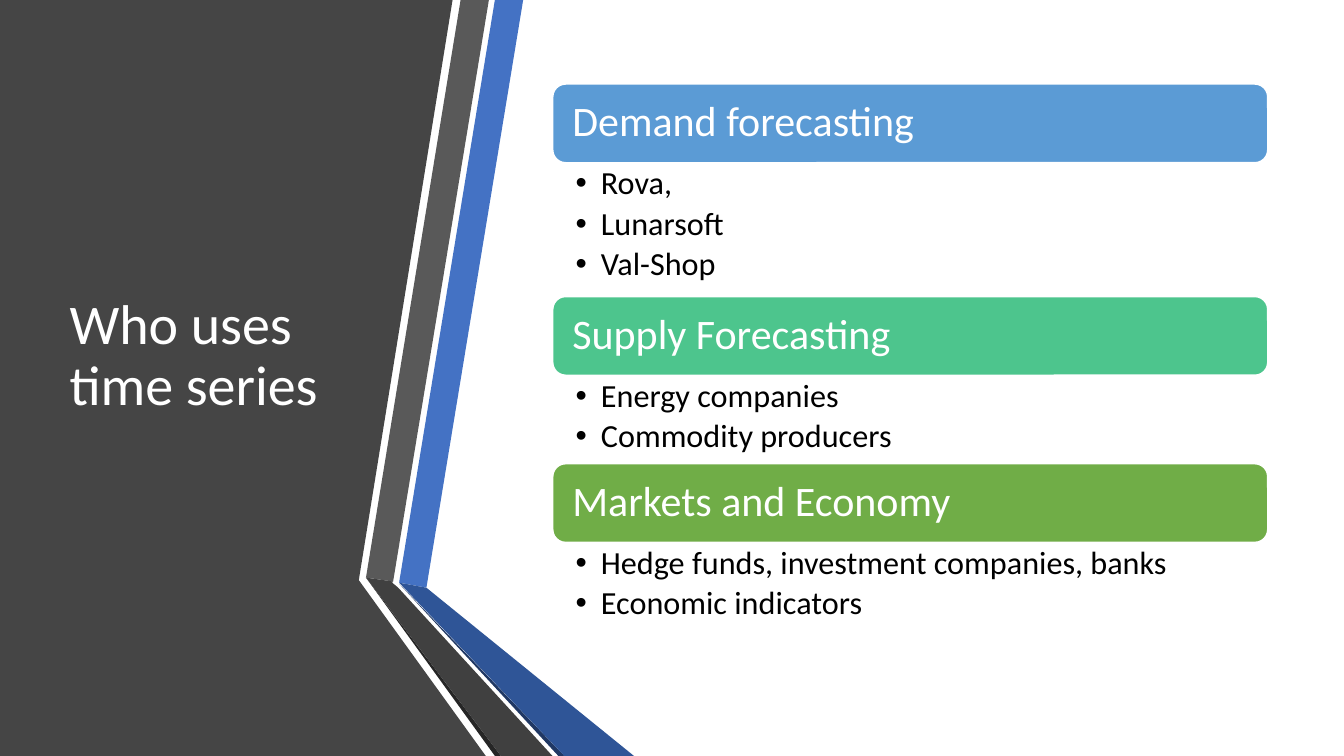
from lxml.etree import SubElement
from pptx import Presentation
from pptx.dml.color import RGBColor
from pptx.enum.shapes import MSO_SHAPE as Preset
from pptx.enum.text import MSO_ANCHOR as Anchor, MSO_AUTO_SIZE as AutoSize, PP_ALIGN as Align
from pptx.oxml.ns import qn
from pptx.util import Pt


def color(hex_text):
    return RGBColor.from_string(hex_text)


def assign(target, values):
    for name, value in values.items():
        setattr(target, name, value)


class SlideBuilder:
    """Holds the text style and the current slide, and adds its elements."""

    font_name = "Calibri"

    def __init__(self, slide):
        self.slide = slide

    def place(self, shape, left, top, width, height):
        assign(shape, {"left": Pt(left), "top": Pt(top), "width": Pt(width), "height": Pt(height)})

    def paint(self, shape, fill, line=None):
        shape.shadow.inherit = False
        shape.fill.solid()
        shape.fill.fore_color.rgb = color(fill)
        if line:
            shape.line.color.rgb = color(line)
            shape.line.width = Pt(1.5)
        else:
            shape.line.fill.background()

    def set_text(self, shape, lines, size, ink, anchor, margins, space_after=0):
        frame = shape.text_frame
        left, top, right, bottom = map(Pt, margins)
        assign(frame, {
            "text": "\n".join(lines), "word_wrap": True, "auto_size": AutoSize.NONE,
            "vertical_anchor": anchor, "margin_left": left, "margin_top": top,
            "margin_right": right, "margin_bottom": bottom,
        })
        for para in frame.paragraphs:
            assign(para, {"alignment": Align.LEFT, "line_spacing": 0.9,
                          "space_before": Pt(0), "space_after": Pt(space_after)})
            for span in para.runs:
                assign(span.font, {"name": self.font_name, "size": Pt(size), "bold": False})
                span.font.color.rgb = color(ink)

    def polygon(self, fill, points):
        start, *rest = [(Pt(x), Pt(y)) for x, y in points]
        outline = self.slide.shapes.build_freeform(*start)
        outline.add_line_segments(rest, close=True)
        self.paint(outline.convert_to_shape(), fill)

    def title(self, text, *area):
        title = self.slide.shapes.title
        self.place(title, *area)
        self.set_text(title, [text], 40, "FFFFFF", Anchor.MIDDLE, (7.2, 3.6, 7.2, 3.6))
        title.element.getparent().append(title.element)

    def bar(self, text, fill, *area):
        bar = self.slide.shapes.add_shape(Preset.ROUNDED_RECTANGLE, *map(Pt, area))
        self.paint(bar, fill, "FFFFFF")
        self.set_text(bar, [text], 30, "FFFFFF", Anchor.MIDDLE, (11.5, 8.6, 11.5, 8.6))

    def bullets(self, box, items, *area):
        self.place(box, *area)
        self.set_text(box, items, 23, "000000", Anchor.TOP, (16.6, 2.9, 16.6, 2.9), 4)
        for para in box.text_frame.paragraphs:
            properties = para._p.get_or_add_pPr()
            properties.set("marL", str(Pt(18)))
            properties.set("indent", str(Pt(-18)))
            SubElement(properties, qn("a:buFont"), typeface="Arial")
            SubElement(properties, qn("a:buChar"), char="•")


RIBBONS = [
    ("454545", [(0, 0), (323.3, 0), (256.3, 414.4), (347, 540), (0, 540)]),
    ("4472C4", [(285.1, 416.2), (304.6, 419.8), (373.7, 0), (353.5, 0)]),
    ("595959", [(349.2, 0), (329, 0), (261.4, 412.6), (280.8, 415.4)]),
    ("262626", [(261.4, 412.6), (353.5, 540), (357.8, 540)]),
    ("203864", [(285.1, 416.9), (398.9, 540), (403.2, 540)]),
    ("2F5597", [(285.1, 416.2), (403.2, 540), (452.9, 540), (304.6, 419.8)]),
    ("404040", [(394.6, 540), (284.4, 419.8), (280.1, 416.2), (280.8, 415.4),
                (261.4, 412.6), (357.8, 540)]),
]
SECTIONS = [
    ("Demand forecasting", "5B9BD5", ["Rova,", "Lunarsoft", "Val-Shop"]),
    ("Supply Forecasting", "4DC58D", ["Energy companies", "Commodity producers"]),
    ("Markets and Economy", "70AD47",
     ["Hedge funds, investment companies, banks", "Economic indicators"]),
]
LEFT, WIDTH, BAR_HEIGHT = 394.6, 511.2, 56.7

deck = Presentation()
assign(deck, {"slide_width": Pt(960), "slide_height": Pt(540)})
slide = deck.slides.add_slide(deck.slide_layouts.get_by_name("Comparison"))
builder = SlideBuilder(slide)

for fill, points in RIBBONS:
    builder.polygon(fill, points)
builder.title("Who uses time series", 42.5, 54, 218.9, 401.8)

title_box, *list_boxes, spare_box = slide.placeholders
spare_box.element.getparent().remove(spare_box.element)
top = 59.8
for (heading, fill, items), list_box in zip(SECTIONS, list_boxes):
    list_height = 32.4 * len(items) - 2.1
    builder.bar(heading, fill, LEFT, top, WIDTH, BAR_HEIGHT)
    builder.bullets(list_box, items, LEFT, top + BAR_HEIGHT, WIDTH, list_height)
    top += BAR_HEIGHT + list_height

deck.save("out.pptx")
